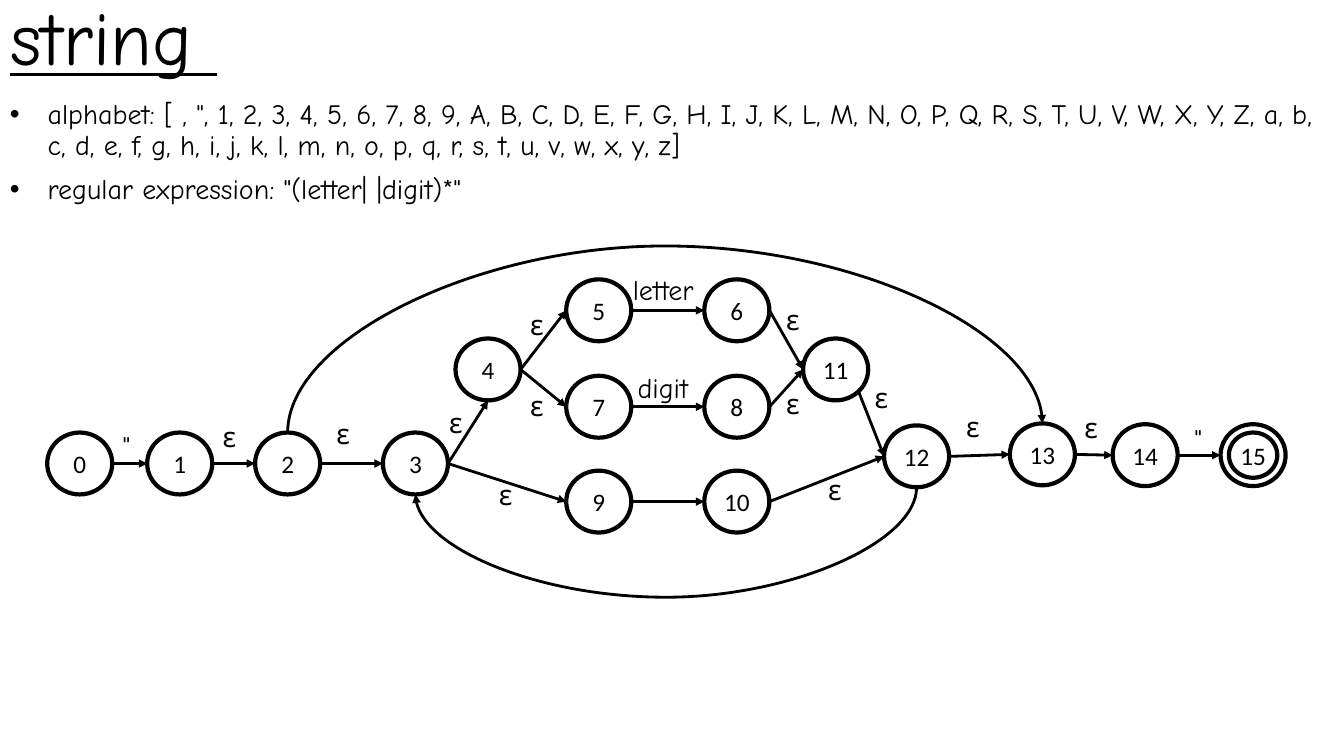
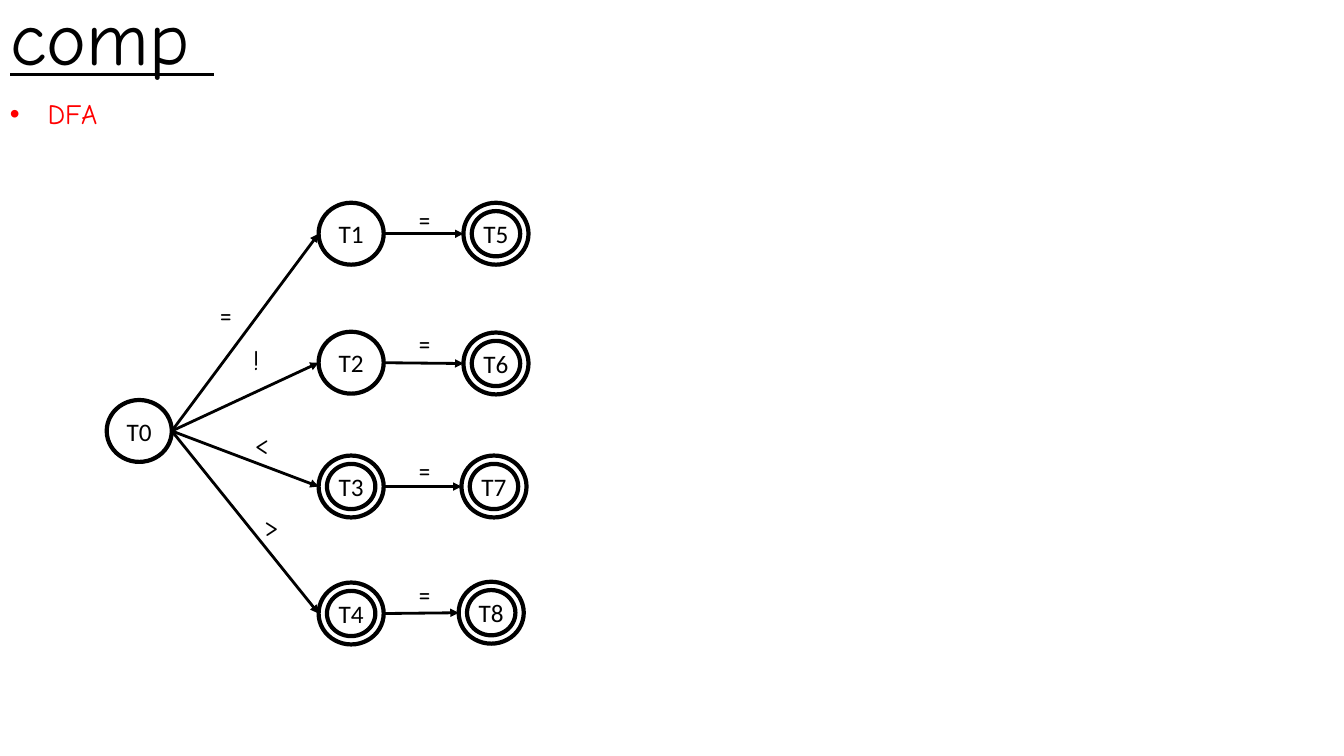
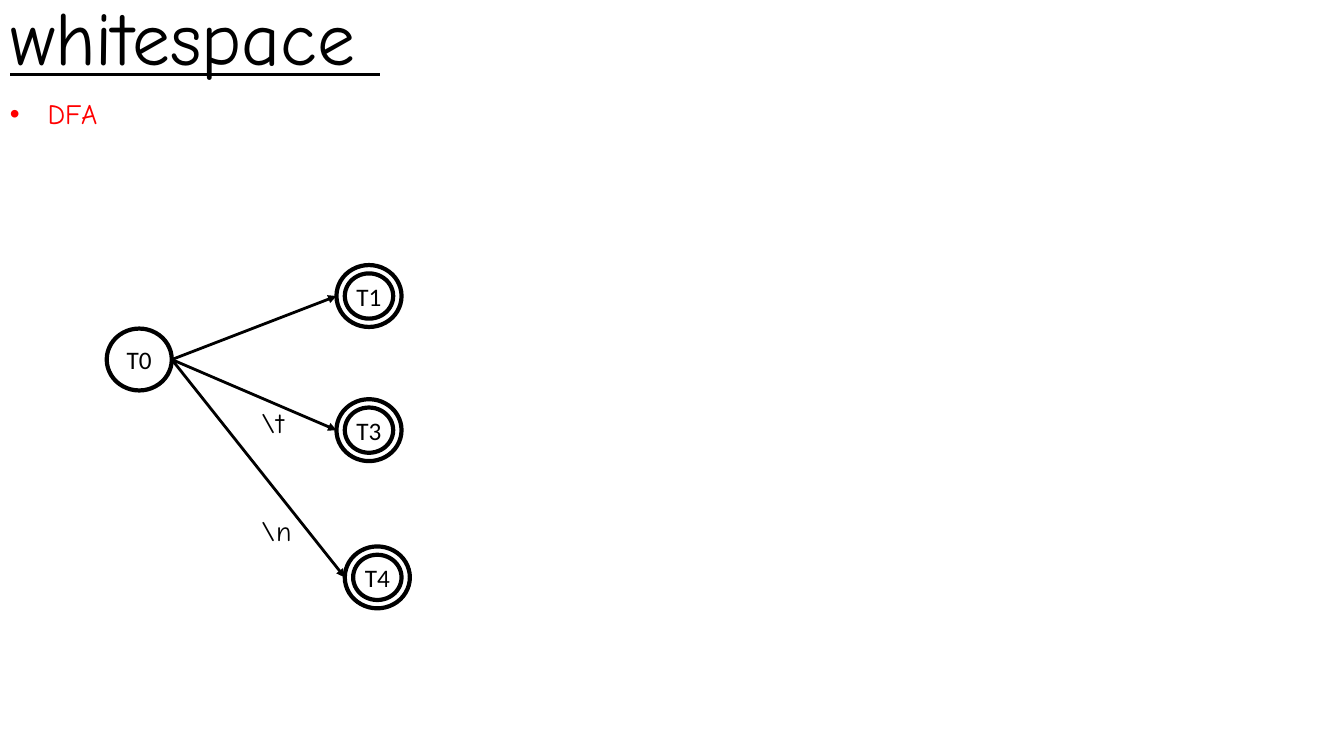
"""Builds three slides of finite automata: string, comp and whitespace."""
from lxml import etree
from pptx import Presentation
from pptx import util as u
from pptx.dml.color import RGBColor
from pptx.enum import shapes, text
from pptx.oxml.ns import qn

BLACK, RED = "000000", "FF0000"
HAND, PLAIN = "Comic Neue", "Calibri"
STATE_W, STATE_H = 1.64, 1.56
RING_W, RING_H = 1.22, 1.14
TOP, LEFT, BOTTOM, CORNER, RIGHT = 0, 2, 4, 5, 6
SITES = {TOP: (0.5, 0), LEFT: (0, 0.5), BOTTOM: (0.5, 1), CORNER: (0.85, 0.85), RIGHT: (1, 0.5)}
SMALL, WIDE, QUOTE = (1.27, 1.55), (2.97, 1.55), (1.52, 1.75)

SLIDES = [
    {
        "title": "string ",
        "bullets": [
            'alphabet: [ , ", 1, 2, 3, 4, 5, 6, 7, 8, 9, A, B, C, D, E, F, G, H, I, J, K, L, M, N, O, P, Q, R, '
            "S, T, U, V, W, X, Y, Z, a, b, c, d, e, f, g, h, i, j, k, l, m, n, o, p, q, r, s, t, u, v, w, x, y, z]",
            'regular expression: "(letter| |digit)*"',
        ],
        "bullet_color": BLACK,
        "bullet_height": 6.22,
        "states": {
            "0": (1.19, 10.9), "1": (3.71, 10.9), "2": (6.43, 10.9), "3": (9.65, 10.9),
            "4": (11.48, 8.53), "5": (14.27, 7.04), "6": (17.75, 7.04), "7": (14.27, 9.47),
            "8": (17.75, 9.47), "9": (14.27, 11.86), "10": (17.75, 11.86), "11": (20.24, 8.53),
            "12": (22.28, 10.72), "13": (25.45, 10.67), "14": (28.04, 10.69), "15": (30.76, 10.69),
        },
        "accepting": ["15"],
        "edges": [
            ("0", "1"), ("1", "2"), ("2", "3"), ("3", "4", RIGHT, BOTTOM), ("3", "9"), ("4", "5"),
            ("4", "7"), ("5", "6"), ("7", "8"), ("9", "10"), ("6", "11"), ("8", "11"),
            ("11", "12", CORNER, LEFT), ("10", "12"), ("12", "13"), ("13", "14"), ("14", "15"),
        ],
        "curves": [("2", "13", TOP, 4.7), ("12", "3", BOTTOM, 2.77)],
        "labels": [
            ("letter", (2.46, 1.04), [(15.7, 6.83)]),
            ("digit", (2.06, 1.04), [(15.82, 9.3)]),
            ('"', QUOTE, [(2.84, 10.77), (29.85, 10.59)]),
            ("ε", SMALL, [
                (5.36, 10.54), (8.23, 10.46), (11.07, 10.19), (12.32, 12.01), (13.11, 7.72), (13.11, 9.75),
                (19.56, 7.59), (19.56, 9.7), (20.62, 11.89), (21.79, 9.55), (24.1, 10.29), (27.08, 10.31),
            ]),
        ],
    },
    {
        "title": "comp ",
        "bullets": ["DFA"],
        "bullet_color": RED,
        "bullet_height": 1.35,
        "states": {
            "T0": (2.69, 10.08), "T1": (8.03, 5.11), "T2": (8.03, 8.36), "T3": (8.03, 11.48),
            "T4": (8.03, 14.68), "T5": (11.68, 5.11), "T6": (11.68, 8.38), "T7": (11.63, 11.48),
            "T8": (11.56, 14.66),
        },
        "accepting": ["T3", "T4", "T5", "T6", "T7", "T8"],
        "edges": [
            ("T0", "T1"), ("T0", "T2"), ("T0", "T3"), ("T0", "T4"),
            ("T1", "T5"), ("T2", "T6"), ("T3", "T7"), ("T4", "T8"),
        ],
        "curves": [],
        "labels": [
            ("=", WIDE, [(5.28, 7.44), (10.29, 5.03)]),
            ("=", SMALL, [(10.29, 8.15), (10.29, 11.35), (10.29, 14.48)]),
            ("!", WIDE, [(6.12, 8.61)]),
            ("<", WIDE, [(6.17, 10.72)]),
            (">", WIDE, [(6.4, 12.78)]),
        ],
    },
    {
        "title": "whitespace ",
        "bullets": ["DFA"],
        "bullet_color": RED,
        "bullet_height": 1.35,
        "states": {"T0": (2.69, 8.28), "T1": (8.48, 6.68), "T3": (8.48, 10.06), "T4": (8.69, 13.77)},
        "accepting": ["T1", "T3", "T4"],
        "edges": [("T0", "T1"), ("T0", "T3"), ("T0", "T4")],
        "curves": [],
        "labels": [("\\t", WIDE, [(6.32, 10.19)]), ("\\n", WIDE, [(6.32, 12.9)])],
    },
]


def color(value):
    return RGBColor.from_string(value)


def set_font(paragraph, name, size, value=BLACK):
    paragraph.font.name = name
    paragraph.font.size = u.Pt(size)
    paragraph.font.color.rgb = color(value)


def add_title(slide, title):
    shape = slide.shapes.title
    shape.left, shape.top, shape.width, shape.height = u.Cm(0), u.Cm(0), u.Cm(25.4), u.Cm(2.18)
    frame = shape.text_frame
    frame.text = title
    frame.auto_size = text.MSO_AUTO_SIZE.NONE
    frame.vertical_anchor = text.MSO_ANCHOR.BOTTOM
    paragraph = frame.paragraphs[0]
    paragraph.alignment = text.PP_ALIGN.LEFT
    paragraph.line_spacing = 0.9
    set_font(paragraph, HAND, 54)
    paragraph.font.underline = True


def add_text(slide, lines, place, size, value=BLACK):
    box = slide.shapes.add_textbox(*map(u.Cm, place + size))
    frame = box.text_frame
    frame.word_wrap = True
    frame.text = "\n".join(lines)
    for paragraph in frame.paragraphs:
        paragraph.line_spacing = 0.9
        paragraph.space_before = u.Pt(10)
        set_font(paragraph, HAND, 20, value)
    return frame


def add_bullets(slide, lines, height, value):
    for paragraph in add_text(slide, lines, (0, 2.41), (33.87, height), value).paragraphs:
        properties = paragraph._p.get_or_add_pPr()
        properties.set("marL", str(u.Cm(0.95)))
        properties.set("indent", str(-u.Cm(0.95)))
        bullet_font = etree.Element(qn("a:buFont"), typeface="Arial")
        bullet = etree.Element(qn("a:buChar"), char="•")
        properties.find(qn("a:spcBef")).addnext(bullet_font)
        bullet_font.addnext(bullet)


def add_ellipse(slide, x, y, width, height):
    shape = slide.shapes.add_shape(shapes.MSO_SHAPE.OVAL, u.Cm(x), u.Cm(y), u.Cm(width), u.Cm(height))
    shape.shadow.inherit = False
    shape.fill.background()
    shape.line.color.rgb = color(BLACK)
    shape.line.width = u.Pt(3)
    return shape


def add_state(slide, name, x, y, accepting):
    state = add_ellipse(slide, x, y, STATE_W, STATE_H)
    frame = state.text_frame
    frame.text = name
    frame.word_wrap = False
    frame.vertical_anchor = text.MSO_ANCHOR.MIDDLE
    frame.paragraphs[0].alignment = text.PP_ALIGN.CENTER
    set_font(frame.paragraphs[0], PLAIN, 18)
    if accepting:
        add_ellipse(slide, x + (STATE_W - RING_W) / 2, y + (STATE_H - RING_H) / 2, RING_W, RING_H)
    return state


def site_point(state, site):
    across, down = SITES[site]
    return int(state.left + across * state.width), int(state.top + down * state.height)


def add_arrow(slide, kind, start, end, start_site=RIGHT, end_site=LEFT):
    connector = slide.shapes.add_connector(kind, *site_point(start, start_site), *site_point(end, end_site))
    connector.line.color.rgb = color(BLACK)
    connector.line.width = u.Pt(2)
    etree.SubElement(connector.line._get_or_add_ln(), qn("a:tailEnd"), type="triangle")
    etree.SubElement(connector._element.spPr, qn("a:effectLst"))
    joints = connector._element.nvCxnSpPr.cNvCxnSpPr
    for tag, state, site in (("a:stCxn", start, start_site), ("a:endCxn", end, end_site)):
        etree.SubElement(joints, qn(tag), id=str(state.shape_id), idx=str(site))
    return connector


def add_curve(slide, start, end, site, reach):
    connector = add_arrow(slide, shapes.MSO_CONNECTOR.CURVE, start, end, site, site)
    (x1, y1), (x2, y2) = site_point(start, site), site_point(end, site)
    width, height = abs(y2 - y1), abs(x2 - x1)
    connector.left, connector.top = (x1 + x2 - width) // 2, (y1 + y2 - height) // 2
    connector.width, connector.height = width, height
    frame = connector._element.spPr.find(qn("a:xfrm"))
    frame.set("rot", "5400000")
    for flip in ("flipH", "flipV"):
        frame.set(flip, "1" if site == TOP else "0")
    adjustments = connector._element.spPr.find(qn("a:prstGeom")).get_or_add_avLst()
    bend = round(u.Cm(reach) / width * 100000)
    etree.SubElement(adjustments, qn("a:gd"), name="adj1", fmla=f"val {bend}")


def add_automaton(slide, content):
    states = {
        name: add_state(slide, name, x, y, name in content["accepting"])
        for name, (x, y) in content["states"].items()
    }
    for start, end, *sites in content["edges"]:
        add_arrow(slide, shapes.MSO_CONNECTOR.STRAIGHT, states[start], states[end], *sites)
    for start, end, site, reach in content["curves"]:
        add_curve(slide, states[start], states[end], site, reach)
    for label, size, places in content["labels"]:
        for place in places:
            add_text(slide, [label], place, size)


def main():
    presentation = Presentation()
    presentation.slide_width, presentation.slide_height = u.Cm(33.87), u.Cm(19.05)
    for content in SLIDES:
        slide = presentation.slides.add_slide(presentation.slide_layouts[5])
        add_title(slide, content["title"])
        add_bullets(slide, content["bullets"], content["bullet_height"], content["bullet_color"])
        add_automaton(slide, content)
    presentation.save("out.pptx")


if __name__ == "__main__":
    main()
